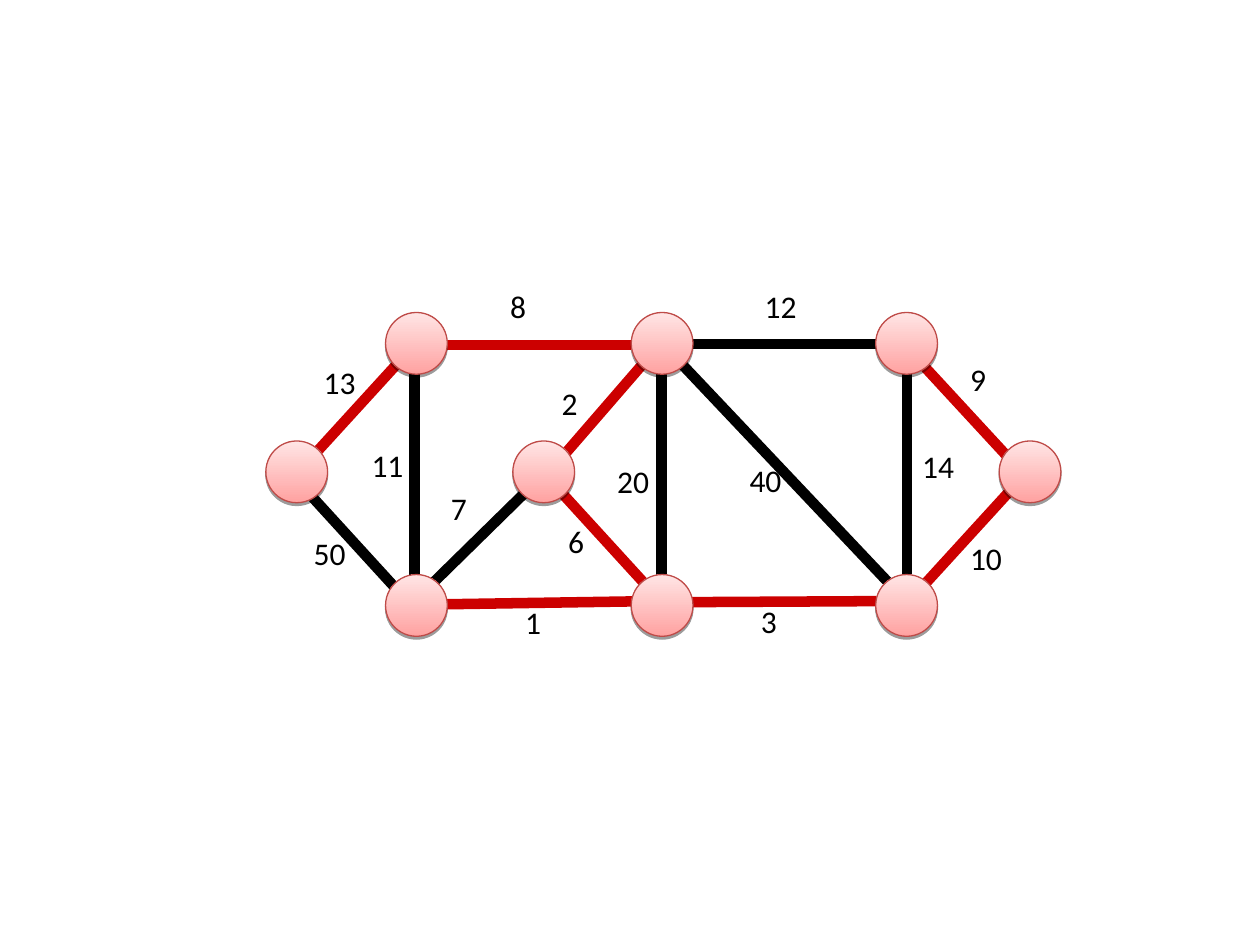
from dataclasses import dataclass

from lxml import etree
from pptx import Presentation
from pptx.dml.color import RGBColor
from pptx.enum import shapes, text
from pptx.oxml import ns
from pptx.util import Inches, Pt


@dataclass(frozen=True)
class Theme:
    tree: RGBColor = RGBColor(0xCC, 0x00, 0x00)
    other: RGBColor = RGBColor(0x00, 0x00, 0x00)
    node_bottom: RGBColor = RGBColor(0xFF, 0xA2, 0xA1)
    node_top: RGBColor = RGBColor(0xFF, 0xE5, 0xE5)
    node_line: RGBColor = RGBColor(0xBE, 0x4B, 0x48)
    font: str = "Calibri"
    weight_size: int = 18
    edge_width: int = 6
    outline_width: float = 0.75


theme = Theme()


def add_effects(shape):
    return etree.SubElement(shape._element.spPr, ns.qn("a:effectLst"))


prs = Presentation()
prs.slide_width, prs.slide_height = Inches(10), Inches(7.5)
slide = prs.slides.add_slide(prs.slide_layouts[6])

# Edges: weight, in spanning tree, start, end, top left of the weight label
edges = [
    (3, True, (5.27, 4.78), (7.19, 4.77), (5.94, 4.73)),
    (2, True, (5.24, 2.73), (4.33, 3.78), (4.36, 3.00)),
    (12, False, (5.24, 2.73), (7.19, 2.73), (5.97, 2.23)),
    (11, False, (3.29, 2.70), (3.29, 4.79), (2.85, 3.49)),
    (20, False, (5.25, 2.72), (5.25, 4.80), (4.80, 3.62)),
    (14, False, (7.20, 2.73), (7.20, 4.81), (7.22, 3.50)),
    (8, True, (3.27, 2.74), (5.23, 2.74), (3.95, 2.23)),
    (1, True, (3.26, 4.80), (5.24, 4.77), (4.07, 4.74)),
    (6, True, (4.32, 3.76), (5.27, 4.80), (4.41, 4.09)),
    (50, False, (2.31, 3.76), (3.26, 4.80), (2.39, 4.19)),
    (13, True, (3.26, 2.77), (2.31, 3.81), (2.47, 2.83)),
    (10, True, (8.14, 3.76), (7.19, 4.80), (7.60, 4.23)),
    (9, True, (7.18, 2.74), (8.14, 3.78), (7.60, 2.81)),
    (7, False, (4.32, 3.76), (3.27, 4.79), (3.48, 3.83)),
    (40, False, (5.26, 2.73), (7.18, 4.76), (5.85, 3.61)),
]
for weight, in_tree, start, end, label_at in edges:
    edge = slide.shapes.add_connector(
        shapes.MSO_CONNECTOR.STRAIGHT, *map(Inches, start + end))
    edge.line.color.rgb = theme.tree if in_tree else theme.other
    edge.line.width = Pt(theme.edge_width)
    add_effects(edge)

# Nodes: three columns on the top and bottom rows, three more on the middle row
node_size = Inches(0.49)
columns = (3.06, 5.01, 6.95)
rows = [(2.48, columns), (3.5, (2.11, 4.07, 7.93)), (4.56, columns)]
for top, lefts in rows:
    for left in lefts:
        node = slide.shapes.add_shape(
            shapes.MSO_SHAPE.OVAL, Inches(left), Inches(top), node_size, node_size)
        node.fill.gradient()
        node.fill.gradient_angle = 90
        colours = (theme.node_bottom, theme.node_top)
        for stop, position, colour in zip(node.fill.gradient_stops, (0, 1), colours):
            stop.position = position
            stop.color.rgb = colour
        node.line.color.rgb = theme.node_line
        node.line.width = Pt(theme.outline_width)
        shadow = etree.SubElement(
            add_effects(node), ns.qn("a:outerShdw"), blurRad="0",
            dist=str(Pt(1.6)), dir="5400000", rotWithShape="0")
        black = etree.SubElement(shadow, ns.qn("a:srgbClr"), val="000000")
        etree.SubElement(black, ns.qn("a:alpha"), val="38000")

# Weights, with a box as wide as the number of digits needs
for weight, in_tree, start, end, (left, top) in edges:
    width = 0.32 if weight < 10 else 0.45
    label = slide.shapes.add_textbox(
        Inches(left), Inches(top), Inches(width), Inches(0.4))
    frame = label.text_frame
    frame.word_wrap = False
    frame.auto_size = text.MSO_AUTO_SIZE.SHAPE_TO_FIT_TEXT
    paragraph = frame.paragraphs[0]
    paragraph.text = str(weight)
    paragraph.font.name = theme.font
    paragraph.font.size = Pt(theme.weight_size)
    paragraph.font.color.rgb = theme.other

prs.save("out.pptx")
